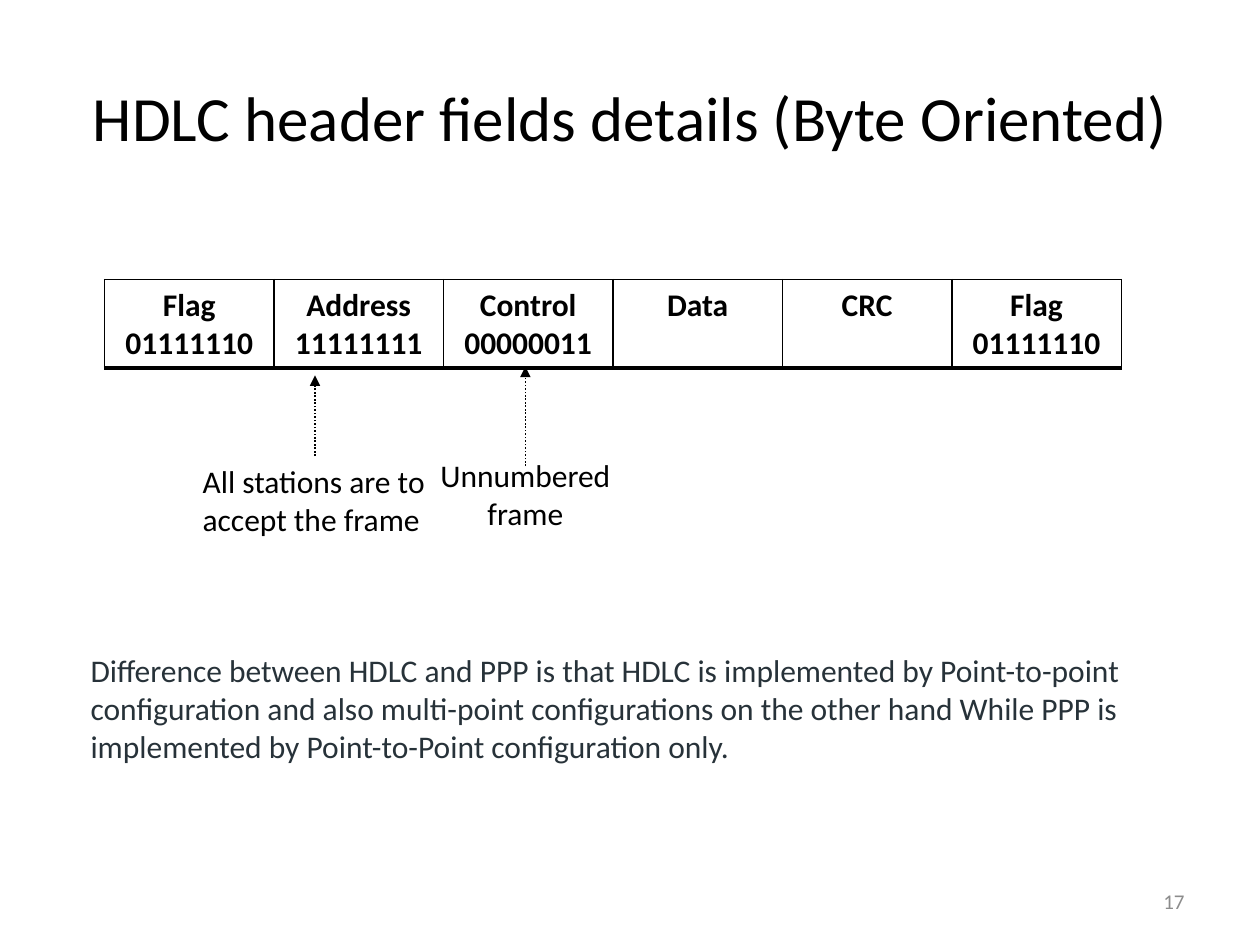
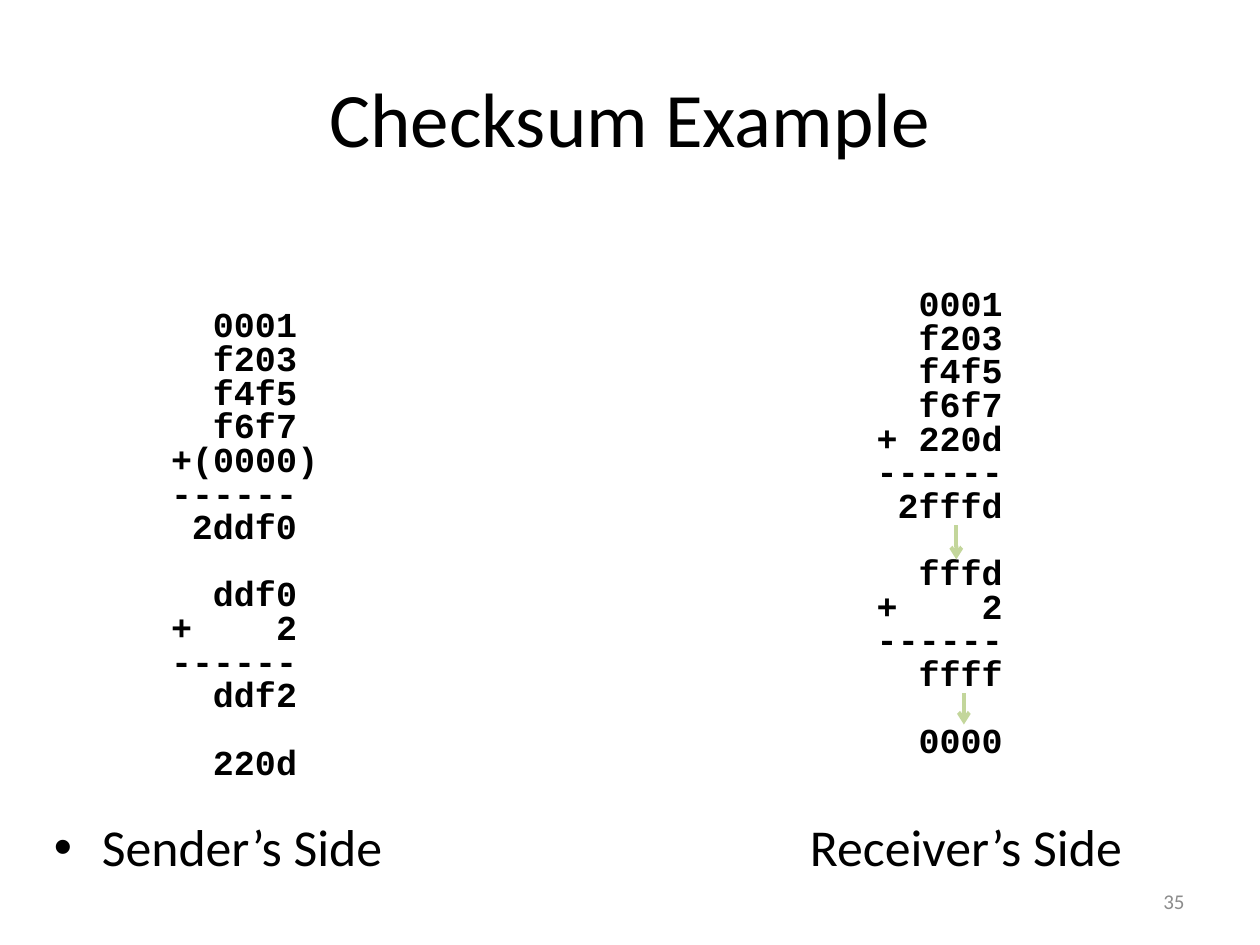
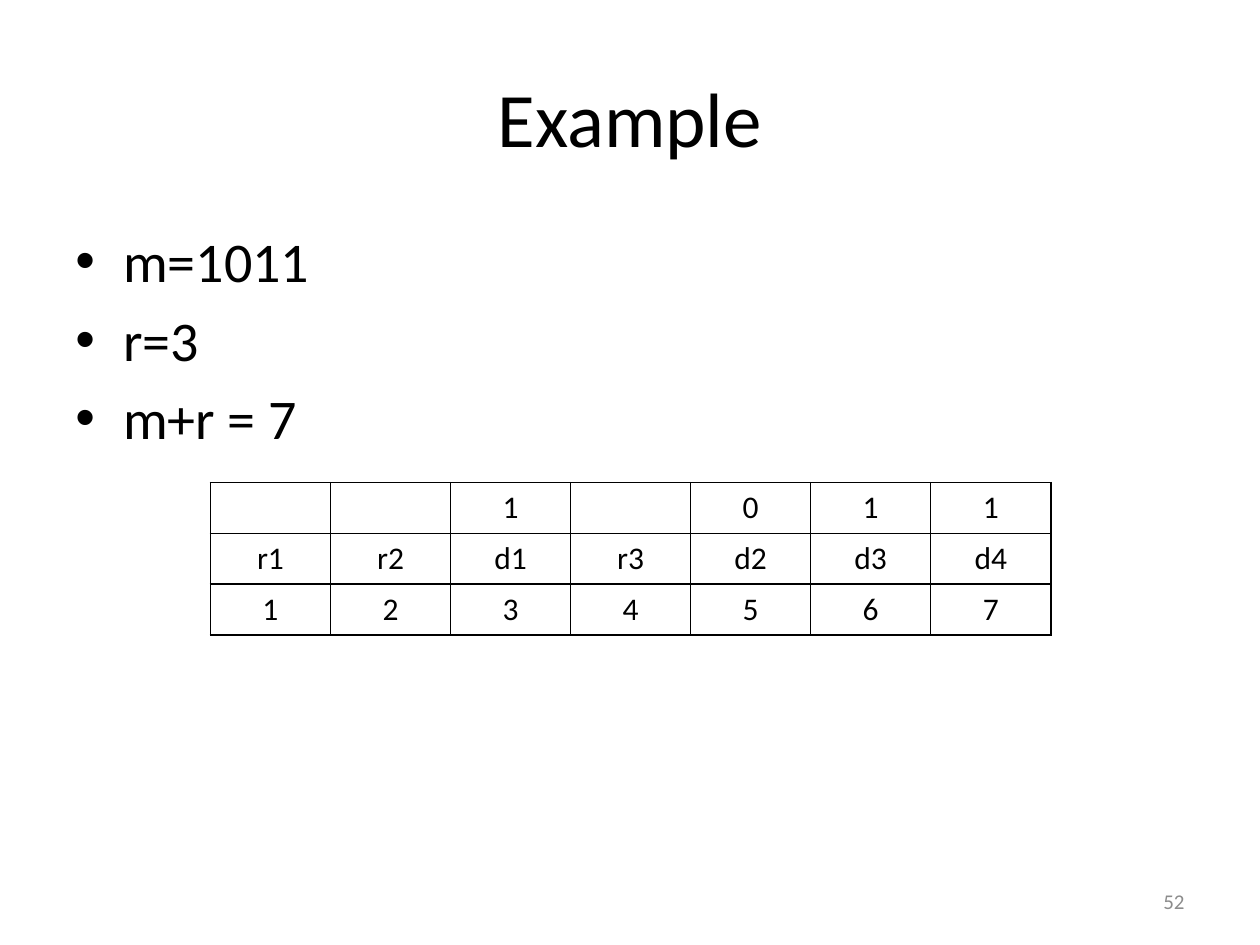
from dataclasses import dataclass

from lxml import etree
from pptx import Presentation
from pptx.dml.color import RGBColor
from pptx.enum.dml import MSO_LINE
from pptx.enum.shapes import MSO_CONNECTOR
from pptx.enum.text import MSO_ANCHOR, PP_ALIGN
from pptx.oxml.ns import qn
from pptx.util import Inches, Pt

LEFT, MID, RIGHT = PP_ALIGN.LEFT, PP_ALIGN.CENTER, PP_ALIGN.RIGHT
TOP, CENTER = MSO_ANCHOR.TOP, MSO_ANCHOR.MIDDLE
STRAIGHT = MSO_CONNECTOR.STRAIGHT
DOTTED = MSO_LINE.ROUND_DOT

COLORS = {"ink": "000000", "page": "8C8C8C", "note": "273239", "arrow": "C3D69B"}
BODY, MONO = "Calibri", "Courier New"
SUM_STEP = 0.8   # line spacing of the sums
SUM_GAP = 19.2   # points, one line of a sum


@dataclass
class Label:
    text: str
    left: float
    top: float
    width: float
    height: float
    size: float = 18
    color: str = "ink"
    align: PP_ALIGN = LEFT
    anchor: MSO_ANCHOR = TOP
    font: str = BODY
    bold: bool = False
    wrap: bool = True


@dataclass
class Arrow:
    left: float
    start: float
    end: float
    color: str
    width: float
    head: str
    dotted: bool = False


@dataclass
class Grid:
    rows: list[list[str]]
    left: float
    top: float
    width: float
    height: float
    bold: bool = False
    base: float = 1   # width of the bottom border


def rgb(name: str) -> RGBColor:
    return RGBColor.from_string(COLORS[name])


# Text
def style(para, size: float, color: str, align, font: str, bold: bool) -> None:
    para.alignment = align
    for item in [para, *para.runs]:
        item.font.size = Pt(size)
        item.font.name = font
        item.font.bold = bold
        item.font.color.rgb = rgb(color)


def add_label(slide, label: Label):
    box = slide.shapes.add_textbox(Inches(label.left), Inches(label.top),
                                   Inches(label.width), Inches(label.height))
    frame = box.text_frame
    frame.word_wrap = label.wrap
    frame.vertical_anchor = label.anchor
    frame.text = label.text
    for para in frame.paragraphs:
        style(para, label.size, label.color, label.align, label.font, label.bold)
    return frame


def add_stop(para, pos: float, align: str) -> None:
    stops = etree.SubElement(para._p.get_or_add_pPr(), qn("a:tabLst"))
    etree.SubElement(stops, qn("a:tab"), pos=str(Inches(pos)), algn=align)


def add_list(slide, label: Label):
    frame = add_label(slide, label)
    for para in frame.paragraphs:
        para.space_before = Pt(round(label.size * 0.2, 1))
        props = para._p.get_or_add_pPr()
        props.set("marL", str(Inches(0.38)))
        props.set("indent", str(-Inches(0.38)))
        etree.SubElement(props, qn("a:buFont"), typeface="Arial")
        etree.SubElement(props, qn("a:buChar"), char="•")
    return frame


def add_sum(slide, left: float, top: float, groups: list[list[str]]) -> None:
    """Digits end at a right tab stop; every group after the first has a gap."""
    text = "\n".join(line for group in groups for line in group)
    frame = add_label(slide, Label(text, left, top, 1.38, 3.87, 20,
                                   font=MONO, bold=True, wrap=False))
    paras = iter(frame.paragraphs)
    for num, group in enumerate(groups):
        for row, _ in enumerate(group):
            para = next(paras)
            para.line_spacing = SUM_STEP
            if num and not row:
                para.space_before = Pt(SUM_GAP)
            add_stop(para, 1, "r")


# Lines
def add_arrow(slide, arrow: Arrow) -> None:
    left = Inches(arrow.left)
    line = slide.shapes.add_connector(STRAIGHT, left, Inches(arrow.start),
                                      left, Inches(arrow.end))
    line.line.color.rgb = rgb(arrow.color)
    line.line.width = Pt(arrow.width)
    if arrow.dotted:
        line.line.dash_style = DOTTED
    etree.SubElement(line.line._get_or_add_ln(), qn("a:tailEnd"), type=arrow.head)
    etree.SubElement(line._element.spPr, qn("a:effectLst"))


# Tables
def add_border(cell, side: str, width: float) -> None:
    line = etree.SubElement(cell._tc.get_or_add_tcPr(), qn(f"a:ln{side}"),
                            w=str(Pt(width)))
    fill = etree.SubElement(line, qn("a:solidFill"))
    etree.SubElement(fill, qn("a:srgbClr"), val=COLORS["ink"])


def add_grid(slide, grid: Grid) -> None:
    high, wide = len(grid.rows), len(grid.rows[0])
    table = slide.shapes.add_table(
        high, wide, Inches(grid.left), Inches(grid.top),
        Inches(grid.width), Inches(grid.height)).table
    table.first_row = table.horz_banding = False
    for num, texts in enumerate(grid.rows):
        for col, text in enumerate(texts):
            cell = table.cell(num, col)
            cell.text = text
            for para in cell.text_frame.paragraphs:
                style(para, 18, "ink", MID, BODY, grid.bold)
            for side in "LRTB":
                last = side == "B" and num == high - 1
                add_border(cell, side, grid.base if last else 1)
            cell.fill.background()


# Shared frame: title and page number
def add_page(deck, title: str, num: int, size: float = 44):
    slide = deck.slides.add_slide(deck.slide_layouts[6])
    add_label(slide, Label(title, 0.5, 0.3, 9, 1.25, size, align=MID, anchor=CENTER))
    add_label(slide, Label(str(num), 7.17, 6.95, 2.33, 0.4, 12, "page", RIGHT, CENTER))
    return slide


def add_header(deck) -> None:
    slide = add_page(deck, "HDLC header fields details (Byte Oriented)", 17, 36)
    for label in (
        Label("Unnumbered frame", 3.35, 3.57, 1.64, 0.7, align=MID),
        Label("All stations are to\naccept the frame", 1.51, 3.62, 1.97, 0.7, wrap=False),
        Label("Difference between HDLC and PPP is that HDLC is implemented by "
              "Point-to-point configuration and also multi-point configurations on "
              "the other hand While PPP is implemented by Point-to-Point "
              "configuration only.", 0.62, 5.12, 8.71, 1.01, color="note"),
    ):
        add_label(slide, label)
    for left, start, end in ((4.17, 3.7, 2.91), (2.5, 3.62, 2.98)):
        add_arrow(slide, Arrow(left, start, end, "ink", 1, "triangle", True))
    flag = "Flag\n01111110"
    fields = [flag, "Address\n11111111", "Control\n00000011", "Data", "CRC", flag]
    add_grid(slide, Grid([fields], 0.83, 2.22, 8.07, 0.7, True, 2))


def add_checksum(deck) -> None:
    slide = add_page(deck, "Checksum Example", 35)
    sides = add_list(slide, Label("Sender’s Side\tReceiver’s Side",
                                  0.33, 6.42, 9, 0.54, 29.6))
    add_stop(sides.paragraphs[0], 6, "l")
    rule = "------"
    words = ["\t0001", "\tf203", "\tf4f5", "\tf6f7"]
    add_sum(slide, 1.26, 2.42, [[*words, "+(0000)", rule, "\t2ddf0"],
                                ["\tddf0", "+\t2", rule, "\tddf2"], ["\t220d"]])
    add_sum(slide, 6.86, 2.25, [[*words, "+\t220d", rule, "\t2fffd"],
                                ["\tfffd", "+\t2", rule, "\tffff"], ["\t0000"]])
    for left, start, end in ((7.59, 4.17, 4.44), (7.65, 5.5, 5.75)):
        add_arrow(slide, Arrow(left, start, end, "arrow", 2.25, "arrow"))


def add_example(deck) -> None:
    slide = add_page(deck, "Example", 52)
    add_list(slide, Label("m=1011\nr=3\nm+r = 7", 0.5, 1.75, 9, 4.95, 32))
    bits = ["", "", "1", "", "0", "1", "1"]
    names = ["r1", "r2", "d1", "r3", "d2", "d3", "d4"]
    places = [str(num) for num in range(1, 8)]
    add_grid(slide, Grid([bits, names, places], 1.67, 3.83, 6.67, 1.21))


def main() -> None:
    deck = Presentation()
    deck.slide_width, deck.slide_height = Inches(10), Inches(7.5)
    add_header(deck)
    add_checksum(deck)
    add_example(deck)
    deck.save("out.pptx")


if __name__ == "__main__":
    main()
